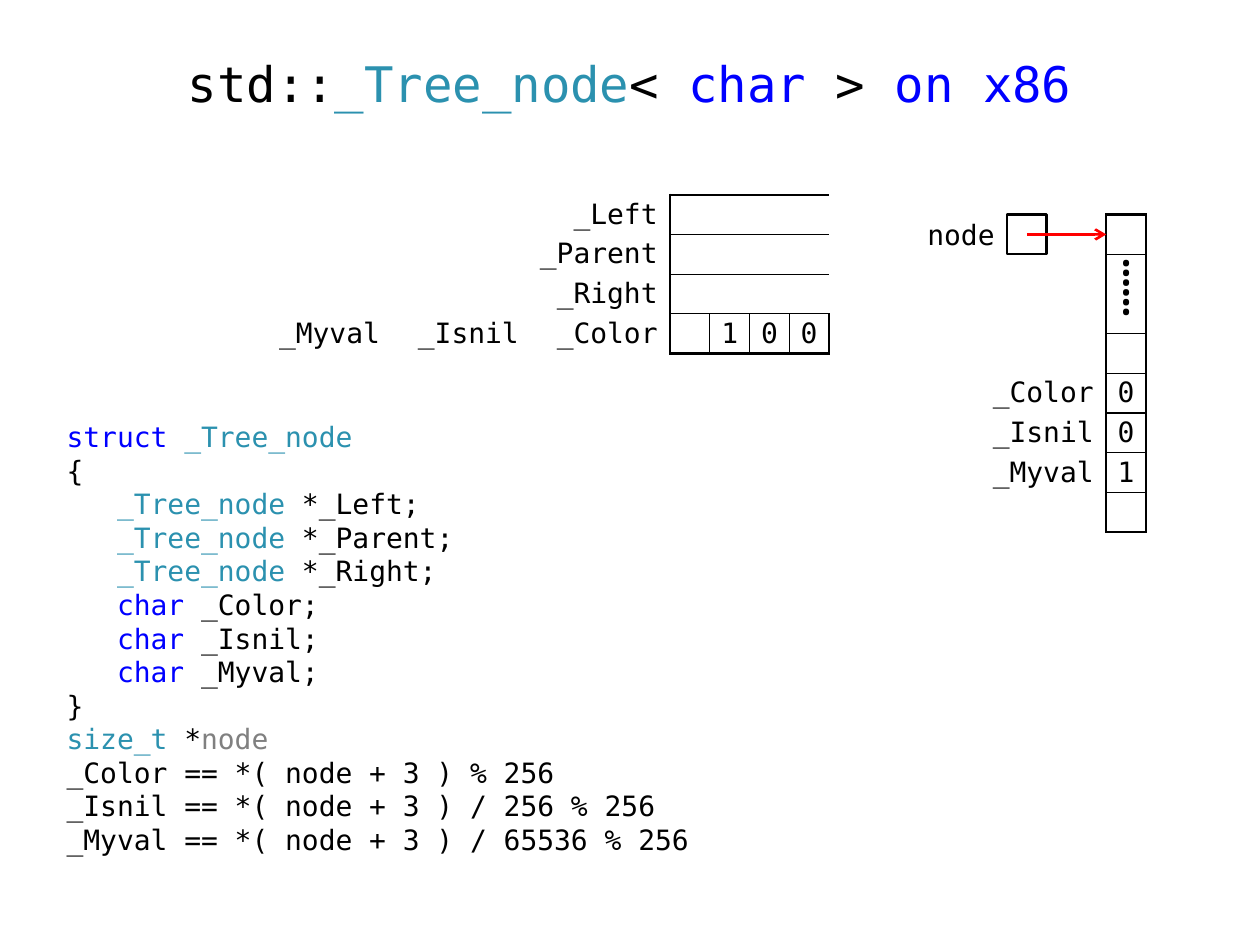
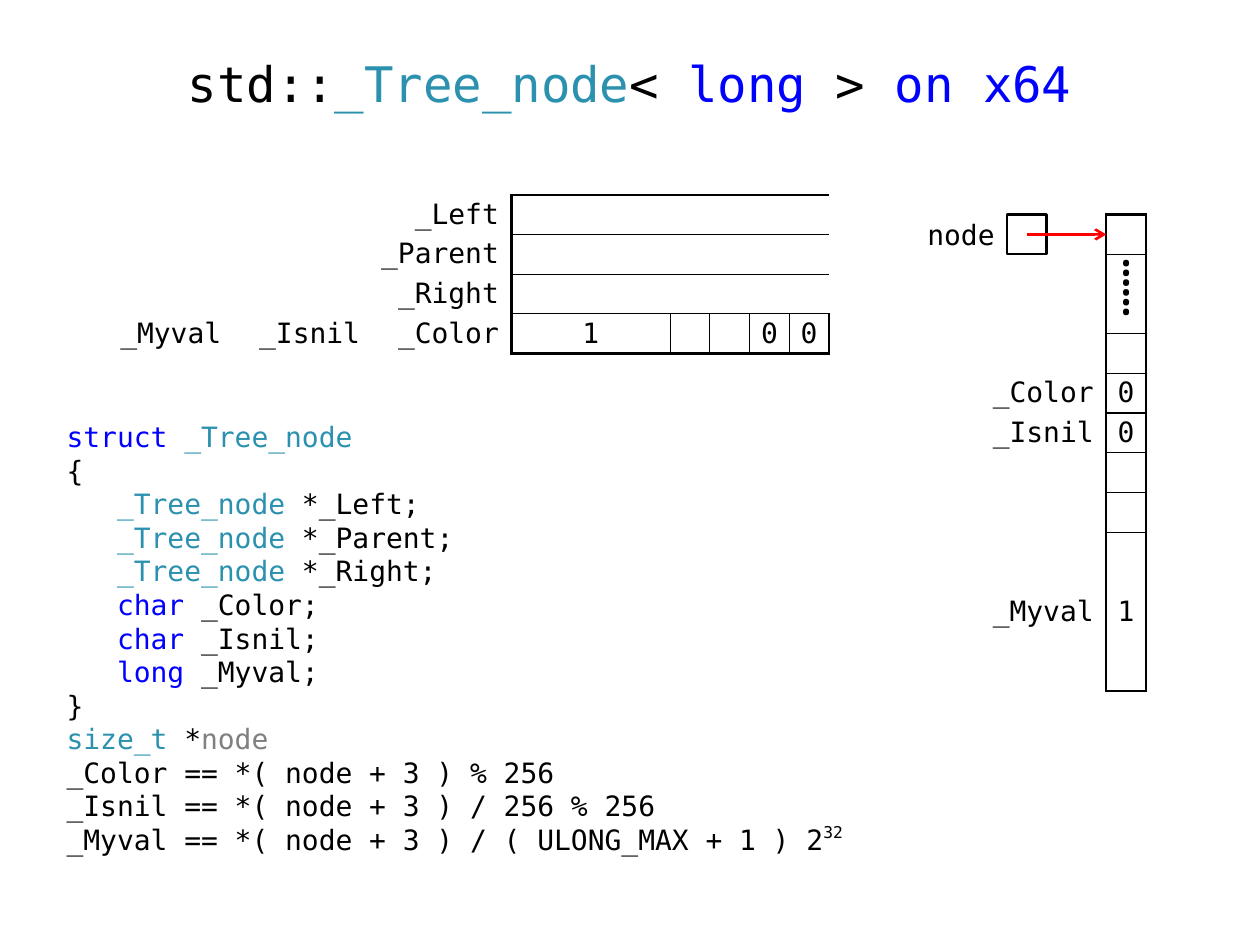
"""Build two slides on the memory layout of std::_Tree_node."""
from dataclasses import dataclass
from typing import Any, NamedTuple

import pptx
import pptx.dml.color
import pptx.enum.shapes
import pptx.enum.text
import pptx.oxml
import pptx.oxml.ns
import pptx.util

Pt = pptx.util.Pt
Align = pptx.enum.text.PP_ALIGN
Anchor = pptx.enum.text.MSO_ANCHOR

MONO, SERIF = "DejaVu Sans Mono", "Times New Roman"
BLACK, WHITE, RED = "000000", "FFFFFF", "FF0000"
TYPE, KEYWORD, PARAMETER = "2B91AF", "0000FF", "808080"
NO_GRID_STYLE = "{2D5ABB26-0587-4C30-8999-92F81FD0307C}"

CELL, LABEL = 22.68, 79.37
THICK, THIN = 1.5, 0.75
INSET = 7.2
FIELDS_RIGHT, FIELDS_TOP = 473.8, 111.3
MEMORY_LEFT, MEMORY_TOP = 552.8, FIELDS_TOP + CELL / 2
MEMORY_EDGE = MEMORY_LEFT + LABEL
DOTS = "⸽"


class Run(NamedTuple):
    """A stretch of text in one colour."""
    text: str
    color: str = BLACK
    raised: bool = False


class Edges(NamedTuple):
    """Border widths of a block of cells; zero means none."""
    left: float = 0
    right: float = 0
    top: float = 0
    bottom: float = 0


class Byte(NamedTuple):
    """A part of the last word, measured in bytes."""
    value: str = ""
    size: int = 1


class Slot(NamedTuple):
    """A row of the memory column."""
    label: str = ""
    value: str = ""
    size: int = 1


@dataclass
class NodeSlide:
    """What differs between the node slides."""
    value_type: str
    platform: str
    last_word: list[Byte]
    tail_slots: list[Slot]
    value_formula: list[Run]


NODE_SLIDES = [
    NodeSlide("char", "x86", [Byte(), Byte("1"), Byte("0"), Byte("0")],
              [Slot("_Myval", "1"), Slot()],
              [Run("_Myval == *( node + 3 ) / 65536 % 256")]),
    NodeSlide("long", "x64",
              [Byte("1", 4), Byte(), Byte(), Byte("0"), Byte("0")],
              [Slot(), Slot(), Slot("_Myval", "1", 4)],
              [Run("_Myval == *( node + 3 ) / ( ULONG_MAX + 1 ) 2"),
               Run("32", raised=True)]),
]


def rgb(color: str) -> pptx.dml.color.RGBColor:
    """Turn a hex string into a colour."""
    return pptx.dml.color.RGBColor.from_string(color)


def write(frame: Any, lines: list[list[Run]], *, size: float = 16,
          font: str = MONO, align: Any = Align.LEFT,
          spacing: Any = None) -> None:
    """Fill a text frame with lines of coloured runs."""
    for index, line in enumerate(lines):
        paragraph = frame.add_paragraph() if index else frame.paragraphs[0]
        paragraph.alignment = align
        paragraph.line_spacing = spacing
        for part in line:
            run = paragraph.add_run()
            run.text = part.text
            run.font.size = Pt(size)
            run.font.name = font
            run.font.color.rgb = rgb(part.color)
            if part.raised:
                run._r.get_or_add_rPr().set("baseline", "44000")


def set_insets(box: Any, side: float, top: float, bottom: float) -> None:
    """Set the margins of a cell or text frame."""
    box.margin_left = box.margin_right = Pt(side)
    box.margin_top, box.margin_bottom = Pt(top), Pt(bottom)


def add_text(slide: Any, left: float, top: float, width: float, height: float,
             lines: list[list[Run]], *, anchor: Any = Anchor.TOP,
             inset: float = 3.6, **text_format: Any) -> None:
    """Add a wrapping text box."""
    shape = slide.shapes.add_textbox(Pt(left), Pt(top), Pt(width), Pt(height))
    frame = shape.text_frame
    frame.word_wrap = True
    frame.vertical_anchor = anchor
    set_insets(frame, INSET, inset, inset)
    write(frame, lines, **text_format)


def add_border(cell: Any, side: str, width: float) -> None:
    """Draw one side of a cell."""
    cell._tc.get_or_add_tcPr().append(pptx.oxml.parse_xml(
        f'<a:ln{side} {pptx.oxml.ns.nsdecls("a")} w="{Pt(width)}">'
        f'<a:solidFill><a:srgbClr val="{BLACK}"/></a:solidFill></a:ln{side}>'))


def add_grid(slide: Any, left: float, top: float, widths: list[float],
             heights: list[float]) -> Any:
    """Add a table without style."""
    frame = slide.shapes.add_table(len(heights), len(widths), Pt(left), Pt(top),
                                   Pt(sum(widths)), Pt(sum(heights)))
    table = frame.table
    table.first_row = table.horz_banding = False
    table._tbl.xpath(".//a:tableStyleId")[0].text = NO_GRID_STYLE
    for column, width in zip(table.columns, widths):
        column.width = Pt(width)
    for row, height in zip(table.rows, heights):
        row.height = Pt(height)
    return table


def place(table: Any, row: int, column: int, text: str = "", *, rows: int = 1,
          columns: int = 1, edges: Edges = Edges(), side: float = 0,
          bottom: float = 0, **text_format: Any) -> None:
    """Fill a block of cells, merging it if needed."""
    last_row, last_column = row + rows - 1, column + columns - 1
    origin = table.cell(row, column)
    for y in range(row, last_row + 1):
        for x in range(column, last_column + 1):
            cell = table.cell(y, x)
            set_insets(cell, side, 0, bottom)
            cell.vertical_anchor = Anchor.MIDDLE
            on_edge = (x == column, x == last_column, y == row, y == last_row)
            for name, width, touches in zip("LRTB", edges, on_edge):
                if width and touches:
                    add_border(cell, name, width)
            cell.fill.background()
    if rows * columns > 1:
        origin.merge(table.cell(last_row, last_column))
    if text:
        write(origin.text_frame, [[Run(text)]], **text_format)


def place_label(table: Any, row: int, column: int, text: str, *,
                columns: int = 1, beside: bool = True) -> None:
    """Place a field name, sharing its right edge with the box beside it."""
    place(table, row, column, text, columns=columns, side=INSET,
          align=Align.RIGHT, edges=Edges(right=THICK if beside else 0))


def add_fields(slide: Any, last_word: list[Byte]) -> None:
    """Draw the words of the node as a table."""
    widths = [LABEL] * 3 + [CELL * byte.size for byte in last_word]
    table = add_grid(slide, FIELDS_RIGHT - sum(widths), FIELDS_TOP, widths,
                     [CELL] * 4)
    for row, name in enumerate(["_Left", "_Parent", "_Right"]):
        place_label(table, row, 0, name, columns=3)
        place(table, row, 3, columns=len(last_word),
              edges=Edges(THICK, THICK, THIN if row else THICK, THIN))
    for column, name in enumerate(["_Myval", "_Isnil", "_Color"]):
        place_label(table, 3, column, name, beside=column == 2)
    for index, byte in enumerate(last_word):
        is_last = index == len(last_word) - 1
        place(table, 3, 3 + index, byte.value, align=Align.CENTER,
              edges=Edges(THIN if index else THICK,
                          THICK if is_last else THIN, THIN, THICK))


def add_memory(slide: Any, tail_slots: list[Slot]) -> None:
    """Draw the memory column as a table."""
    slots = [Slot(), Slot(value=DOTS), Slot(), Slot(),
             Slot("_Color", "0"), Slot("_Isnil", "0"), *tail_slots]
    table = add_grid(slide, MEMORY_LEFT, MEMORY_TOP, [LABEL, CELL],
                     [CELL * slot.size for slot in slots])
    for row, slot in enumerate(slots):
        place_label(table, row, 0, slot.label)
        edges = Edges(THICK, THICK, THIN if row else THICK,
                      THICK if row == len(slots) - 1 else THIN)
        if slot.value == DOTS:
            place(table, row, 1, DOTS, rows=2, edges=edges, bottom=5.76,
                  size=28, font=SERIF, align=Align.CENTER)
        elif row != 2:
            place(table, row, 1, slot.value, edges=edges, align=Align.CENTER)


def add_node_pointer(slide: Any) -> None:
    """Draw the node variable pointing at the memory column."""
    box_left = MEMORY_EDGE - 2.5 * CELL
    add_text(slide, box_left - 2.5 * CELL, MEMORY_TOP, 2.5 * CELL, CELL,
             [[Run("node")]], anchor=Anchor.MIDDLE, inset=0, align=Align.RIGHT)
    box = slide.shapes.add_shape(
        pptx.enum.shapes.MSO_SHAPE.RECTANGLE,
        Pt(box_left), Pt(MEMORY_TOP), Pt(CELL), Pt(CELL))
    box.shadow.inherit = False
    box.fill.solid()
    box.fill.fore_color.rgb = rgb(WHITE)
    box.line.color.rgb = rgb(BLACK)
    box.line.width = Pt(THICK)
    middle = Pt(MEMORY_TOP + CELL / 2)
    arrow = slide.shapes.add_connector(
        pptx.enum.shapes.MSO_CONNECTOR.STRAIGHT,
        Pt(box_left + CELL / 2), middle, Pt(MEMORY_EDGE), middle)
    arrow.line.color.rgb = rgb(RED)
    arrow.line.width = Pt(THICK)
    namespace = pptx.oxml.ns.nsdecls("a")
    arrow.line._get_or_add_ln().append(
        pptx.oxml.parse_xml(f'<a:tailEnd {namespace} type="arrow"/>'))
    arrow._element.spPr.append(
        pptx.oxml.parse_xml(f"<a:effectLst {namespace}/>"))


def code_lines(node: NodeSlide) -> list[list[Run]]:
    """List the struct declaration and the formulas below it."""
    members = [("_Tree_node", TYPE, " *_Left;"),
               ("_Tree_node", TYPE, " *_Parent;"),
               ("_Tree_node", TYPE, " *_Right;"),
               ("char", KEYWORD, " _Color;"),
               ("char", KEYWORD, " _Isnil;"),
               (node.value_type, KEYWORD, " _Myval;")]
    return [
        [Run("struct ", KEYWORD), Run("_Tree_node", TYPE)],
        [Run("{")],
        *([Run("   "), Run(kind, color), Run(name)]
          for kind, color, name in members),
        [Run("}")],
        [Run("size_t", TYPE), Run(" *"), Run("node", PARAMETER)],
        [Run("_Color == *( node + 3 ) % 256")],
        [Run("_Isnil == *( node + 3 ) / 256 % 256")],
        node.value_formula,
    ]


def add_node_slide(presentation: Any, node: NodeSlide) -> None:
    """Add one complete slide."""
    slide = presentation.slides.add_slide(presentation.slide_layouts[6])
    title = [Run("std::"), Run("_Tree_node", TYPE), Run("< "),
             Run(node.value_type, KEYWORD), Run(" >"),
             Run(f" on {node.platform}", KEYWORD)]
    add_text(slide, 31, 21, 657.5, 57, [title], anchor=Anchor.MIDDLE,
             size=28, align=Align.CENTER, spacing=0.9)
    add_text(slide, 31, 236.2, 465, 260.6, code_lines(node), spacing=Pt(19.2))
    add_fields(slide, node.last_word)
    add_memory(slide, node.tail_slots)
    add_node_pointer(slide)


def main() -> None:
    """Build and save the presentation."""
    presentation = pptx.Presentation()
    presentation.slide_width, presentation.slide_height = Pt(720), Pt(540)
    for node in NODE_SLIDES:
        add_node_slide(presentation, node)
    presentation.save("out.pptx")


if __name__ == "__main__":
    main()
